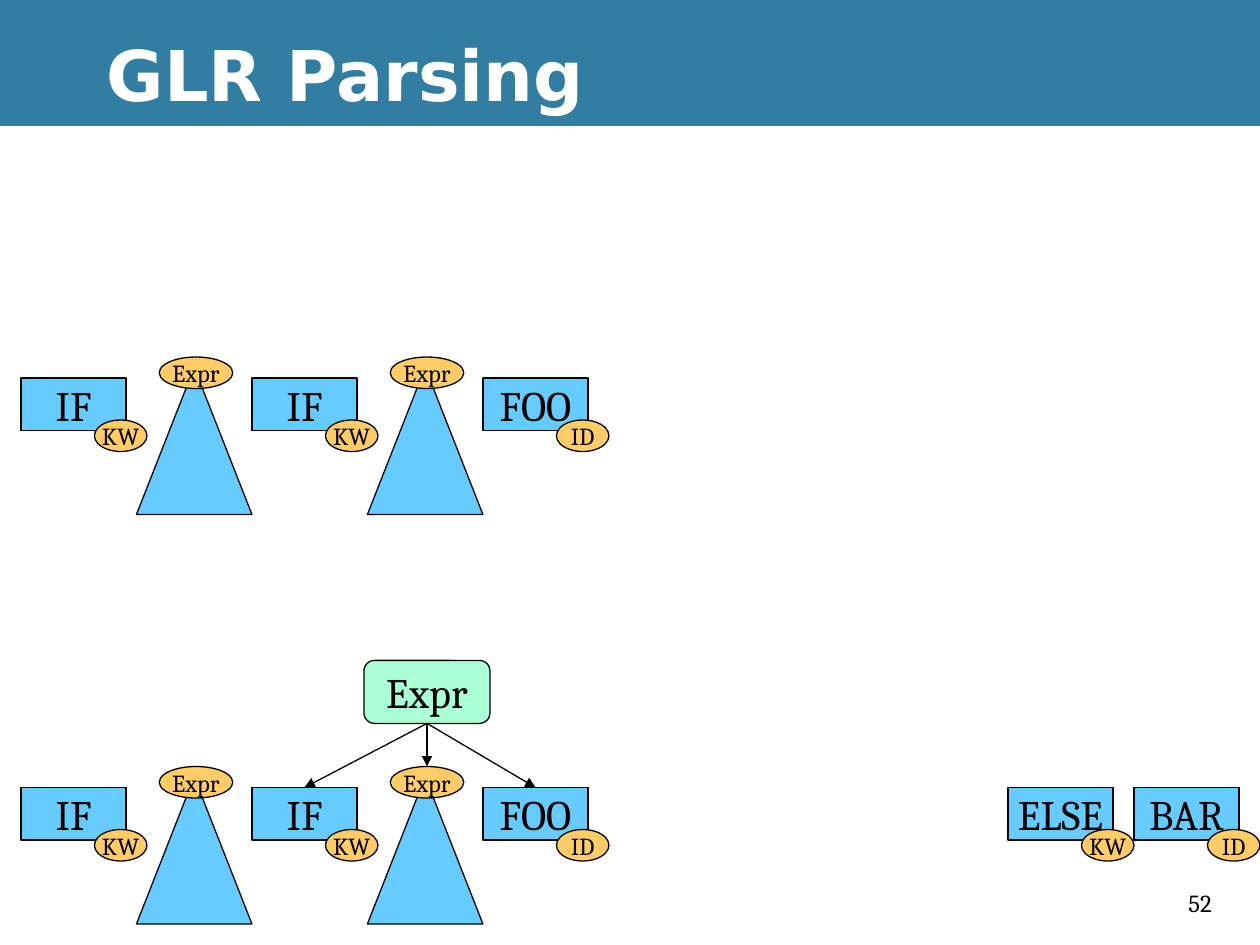
from dataclasses import dataclass

from lxml import etree
from pptx import Presentation
from pptx.dml.color import RGBColor
from pptx.enum.shapes import MSO_CONNECTOR, MSO_SHAPE
from pptx.enum.text import MSO_ANCHOR, PP_ALIGN
from pptx.oxml.ns import qn
from pptx.shapes.autoshape import Shape
from pptx.shapes.shapetree import GroupShapes, SlideShapes
from pptx.text.text import TextFrame
from pptx.util import Emu, Inches, Pt

RECTANGLE = MSO_SHAPE.RECTANGLE
ROUNDED = MSO_SHAPE.ROUNDED_RECTANGLE
OVAL = MSO_SHAPE.OVAL
TRIANGLE = MSO_SHAPE.ISOSCELES_TRIANGLE
STRAIGHT = MSO_CONNECTOR.STRAIGHT
MIDDLE = MSO_ANCHOR.MIDDLE
TOP = MSO_ANCHOR.TOP
CENTER = PP_ALIGN.CENTER
LEFT = PP_ALIGN.LEFT

BLACK = RGBColor(0x00, 0x00, 0x00)
WHITE = RGBColor(0xFF, 0xFF, 0xFF)
BANNER_BLUE = RGBColor(0x32, 0x7E, 0xA3)
TOKEN_BLUE = RGBColor(0x66, 0xCC, 0xFF)
BADGE_ORANGE = RGBColor(0xFF, 0xCC, 0x66)
RULE_GREEN = RGBColor(0xAA, 0xFF, 0xD4)

COLUMNS, ROWS = 120, 90
WIDTH, HEIGHT = Inches(10), Inches(7.5)
LINE_WIDTH = Pt(0.75)

WORD = {"name": "Cambria", "size": Pt(24)}
SMALL = {"name": "Cambria", "size": Pt(14)}
HEADING = {"name": "DejaVu Sans", "size": Pt(40), "bold": True}
CENTERED = {"word_wrap": False, "vertical_anchor": MIDDLE}
WRAPPED_MIDDLE = {"word_wrap": True, "vertical_anchor": MIDDLE}
WRAPPED_TOP = {"word_wrap": True, "vertical_anchor": TOP}


@dataclass(frozen=True)
class Area:
    column: float
    row: float
    columns: float
    rows: float

    def lengths(self) -> tuple[Emu, Emu, Emu, Emu]:
        return (across(self.column), down(self.row),
                across(self.columns), down(self.rows))


@dataclass(frozen=True)
class Token:
    column: float
    word: str
    kind: str


@dataclass(frozen=True)
class Subtree:
    column: float
    symbol: str


PREFIX = [
    Token(46, "FOO", "ID"),
    Token(2, "IF", "KW"),
    Subtree(13, "Expr"),
    Token(24, "IF", "KW"),
    Subtree(35, "Expr"),
]
LOOKAHEAD = [Token(96, "ELSE", "KW"), Token(108, "BAR", "ID")]
STACK_ROWS = {36: PREFIX, 75: PREFIX + LOOKAHEAD}
REDUCED = Area(34.67, 62.9, 12, 6)
CHILDREN = [(29, 75), (40.67, 73), (51, 75)]


def across(columns: float) -> Emu:
    return Emu(round(WIDTH * columns / COLUMNS))


def down(rows: float) -> Emu:
    return Emu(round(HEIGHT * rows / ROWS))


def write(frame: TextFrame, words: str, font: dict, layout: dict,
          color: RGBColor = BLACK, align: PP_ALIGN = CENTER) -> None:
    for attribute, value in layout.items():
        setattr(frame, attribute, value)
    paragraph = frame.paragraphs[0]
    paragraph.alignment = align
    run = paragraph.add_run()
    run.text = words
    for attribute, value in font.items():
        setattr(run.font, attribute, value)
    run.font.color.rgb = color


def draw_panel(shapes: SlideShapes | GroupShapes, outline: MSO_SHAPE,
               area: Area, fill: RGBColor) -> Shape:
    panel = shapes.add_shape(outline, *area.lengths())
    panel.shadow.inherit = False
    panel.fill.solid()
    panel.fill.fore_color.rgb = fill
    panel.line.fill.background()
    return panel


def draw_node(shapes: SlideShapes | GroupShapes, outline: MSO_SHAPE,
              area: Area, fill: RGBColor, words: str = "",
              font: dict = WORD) -> None:
    node = draw_panel(shapes, outline, area, fill)
    node.line.color.rgb = BLACK
    node.line.width = LINE_WIDTH
    if words:
        write(node.text_frame, words, font, CENTERED)


def draw_token(shapes: SlideShapes, token: Token, row: float) -> None:
    parts = shapes.add_group_shape().shapes
    draw_node(parts, RECTANGLE, Area(token.column, row, 10, 5),
              TOKEN_BLUE, token.word)
    draw_node(parts, OVAL, Area(token.column + 7, row + 4, 5, 3),
              BADGE_ORANGE, token.kind, SMALL)


def draw_subtree(shapes: SlideShapes, subtree: Subtree, row: float) -> None:
    parts = shapes.add_group_shape().shapes
    draw_node(parts, TRIANGLE, Area(subtree.column, row - 1, 11, 14), TOKEN_BLUE)
    draw_node(parts, OVAL, Area(subtree.column + 2.17, row - 2, 7, 3),
              BADGE_ORANGE, subtree.symbol, SMALL)


def draw_arrow(shapes: SlideShapes, start: tuple[float, float],
               end: tuple[float, float]) -> None:
    arrow = shapes.add_connector(STRAIGHT, across(start[0]), down(start[1]),
                                 across(end[0]), down(end[1]))
    arrow.line.color.rgb = BLACK
    arrow.line.width = LINE_WIDTH
    head = etree.SubElement(arrow.line._get_or_add_ln(), qn("a:tailEnd"))
    head.set("type", "triangle")
    etree.SubElement(arrow._element.spPr, qn("a:effectLst"))


def draw_label(shapes: SlideShapes, area: Area, words: str, font: dict,
               layout: dict, color: RGBColor) -> None:
    label = shapes.add_textbox(*area.lengths())
    write(label.text_frame, words, font, layout, color, LEFT)


def main() -> None:
    presentation = Presentation()
    presentation.slide_width, presentation.slide_height = WIDTH, HEIGHT
    slide = presentation.slides.add_slide(presentation.slide_layouts[6])
    slide.background.fill.solid()
    slide.background.fill.fore_color.rgb = BLACK
    shapes = slide.shapes

    draw_panel(shapes, RECTANGLE, Area(0, 12, COLUMNS, ROWS - 12), WHITE)
    draw_panel(shapes, RECTANGLE, Area(0, 0, COLUMNS, 12), BANNER_BLUE)
    draw_label(shapes, Area(112, 84, 6, 4), "52", SMALL, WRAPPED_TOP, BLACK)
    draw_label(shapes, Area(9, 1, 111, 12), "GLR Parsing", HEADING,
               WRAPPED_MIDDLE, WHITE)

    for row, entries in STACK_ROWS.items():
        for entry in entries:
            if isinstance(entry, Token):
                draw_token(shapes, entry, row)
            else:
                draw_subtree(shapes, entry, row)

    draw_node(shapes, ROUNDED, REDUCED, RULE_GREEN, "Expr")
    fork = (REDUCED.column + REDUCED.columns / 2, REDUCED.row + REDUCED.rows)
    for child in CHILDREN:
        draw_arrow(shapes, fork, child)

    presentation.save("out.pptx")


if __name__ == "__main__":
    main()
